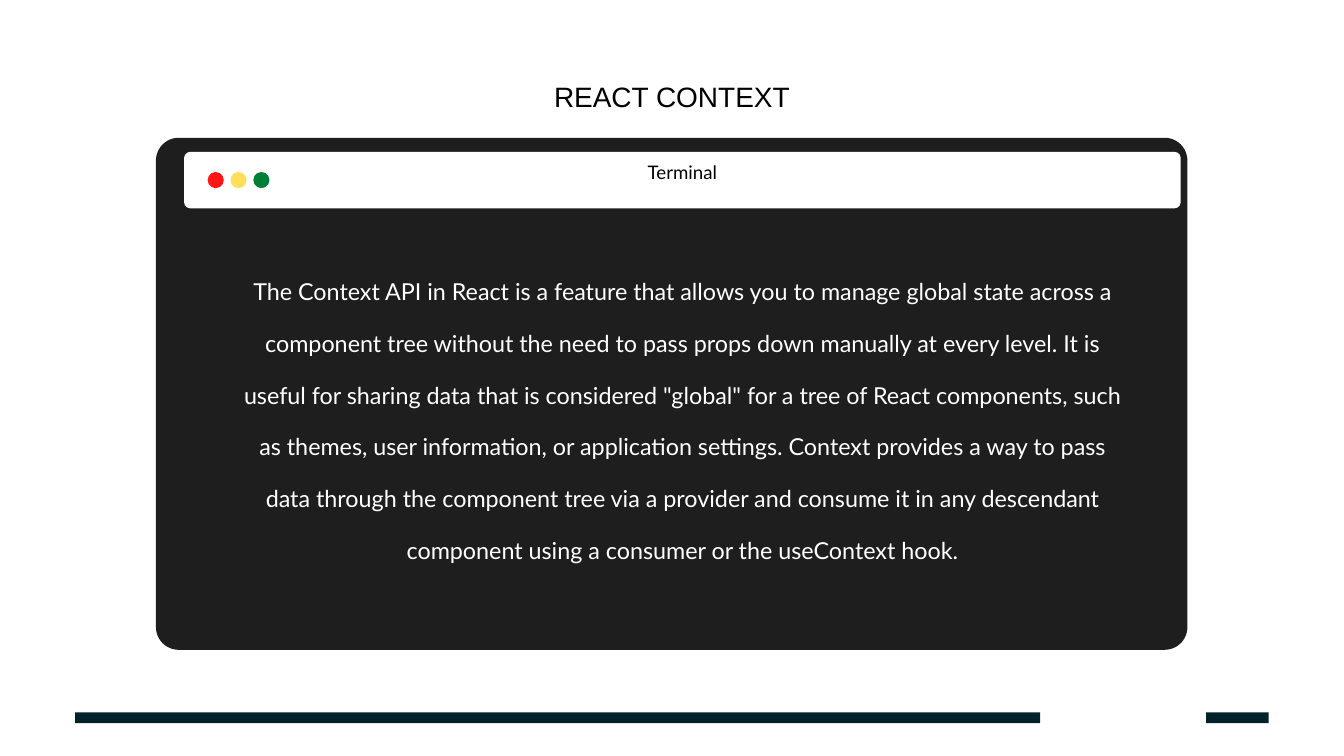
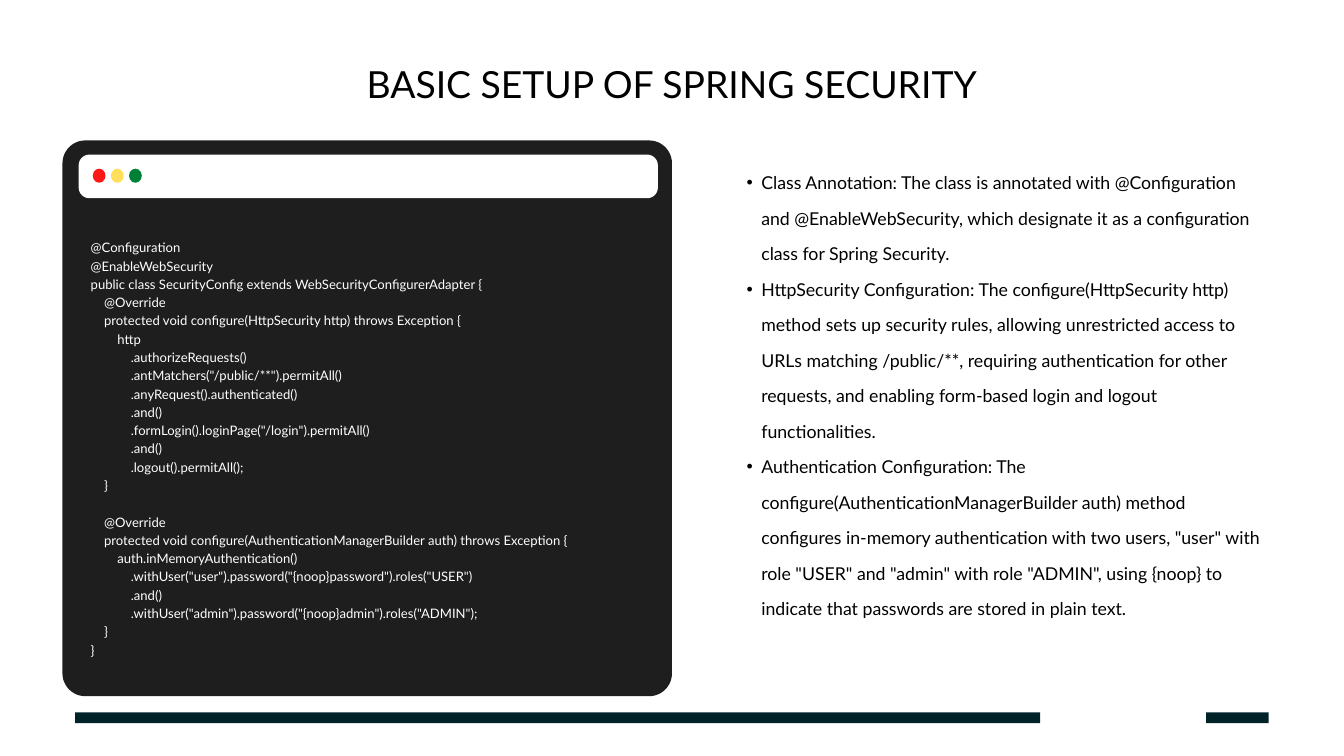
from lxml import etree
from pptx import Presentation
from pptx.dml.color import RGBColor
from pptx.enum.shapes import MSO_SHAPE
from pptx.enum.text import MSO_ANCHOR, PP_ALIGN
from pptx.oxml.ns import qn
from pptx.util import Inches, Pt

RECT, ROUNDED, OVAL = MSO_SHAPE.RECTANGLE, MSO_SHAPE.ROUNDED_RECTANGLE, MSO_SHAPE.OVAL
LEFT, CENTER = PP_ALIGN.LEFT, PP_ALIGN.CENTER
TOP, MIDDLE = MSO_ANCHOR.TOP, MSO_ANCHOR.MIDDLE

BLACK, WHITE, PANEL, BAND = "000000", "FFFFFF", "1E1E1E", "00232A"
DOTS = ["FF1616", "FFDE59", "008037"]


def add_block(s, kind, box, fill, radius=0):
    sp = s.shapes.add_shape(kind, *[Inches(v) for v in box])
    sp.shadow.inherit = False
    sp.fill.solid()
    sp.fill.fore_color.rgb = RGBColor.from_string(fill)
    sp.line.fill.background()
    if radius:
        sp.adjustments[0] = radius / min(box[2:])


def add_text(s, box, lines, size, color, spacing, align=LEFT, font="Lato",
             anchor=TOP, inset=0, bullets=False):
    tf = s.shapes.add_textbox(*[Inches(v) for v in box]).text_frame
    tf.word_wrap = True
    tf.vertical_anchor = anchor
    tf.margin_left = tf.margin_top = tf.margin_right = tf.margin_bottom = Inches(inset)
    p, gap = tf.paragraphs[0], 0
    for i, line in enumerate(lines):
        if not line:  # an empty line becomes space before the next one
            gap = spacing
            continue
        if i:
            p = tf.add_paragraph()
        p.alignment = align
        p.line_spacing = Pt(spacing)
        if gap:
            p.space_before, gap = Pt(gap), 0
        if bullets:
            p.level = 1
            pPr = p._p.get_or_add_pPr()
            pPr.set("marL", str(Inches(0.45)))
            pPr.set("indent", str(Inches(-0.22)))
            etree.SubElement(pPr, qn("a:buFont")).set("typeface", "Arial")
            etree.SubElement(pPr, qn("a:buChar")).set("char", "•")
        r = p.add_run()
        r.text = line
        r.font.name = font
        r.font.size = Pt(size)
        r.font.color.rgb = RGBColor.from_string(color)


# Content
CONTEXT = (
    "The Context API in React is a feature that allows you to manage global state "
    "across a component tree without the need to pass props down manually at every "
    "level. It is useful for sharing data that is considered \"global\" for a tree of "
    "React components, such as themes, user information, or application settings. "
    "Context provides a way to pass data through the component tree via a provider and "
    "consume it in any descendant component using a consumer or the useContext hook.")

CODE = '''@Configuration
@EnableWebSecurity
public class SecurityConfig extends WebSecurityConfigurerAdapter {
    @Override
    protected void configure(HttpSecurity http) throws Exception {
        http
            .authorizeRequests()
            .antMatchers("/public/**").permitAll()
            .anyRequest().authenticated()
            .and()
            .formLogin().loginPage("/login").permitAll()
            .and()
            .logout().permitAll();
    }

    @Override
    protected void configure(AuthenticationManagerBuilder auth) throws Exception {
        auth.inMemoryAuthentication()
            .withUser("user").password("{noop}password").roles("USER")
            .and()
            .withUser("admin").password("{noop}admin").roles("ADMIN");
    }
}'''

NOTES = [
    "Class Annotation: The class is annotated with @Configuration and "
    "@EnableWebSecurity, which designate it as a configuration class for Spring "
    "Security.",
    "HttpSecurity Configuration: The configure(HttpSecurity http) method sets up "
    "security rules, allowing unrestricted access to URLs matching /public/**, "
    "requiring authentication for other requests, and enabling form-based login and "
    "logout functionalities.",
    "Authentication Configuration: The configure(AuthenticationManagerBuilder auth) "
    "method configures in-memory authentication with two users, \"user\" with role "
    "\"USER\" and \"admin\" with role \"ADMIN\", using {noop} to indicate that passwords "
    "are stored in plain text.",
]

# Per slide: title, its box, size and font; window; title bar and radius; first dot, step
SLIDES = [
    ("REACT CONTEXT", (6.58, 0.85, 6.84, 0.77), 30, "Arial",
     (2.32, 2.05, 15.35, 7.62), (2.74, 2.26, 14.83, 0.84), 0.09,
     (3.09, 2.56, 0.24, 0.24), 0.34),
    ("BASIC SETUP OF SPRING SECURITY", (1.12, 0.46, 17.75, 0.99), 40, "Lato",
     (0.93, 2.09, 9.07, 8.27), (1.17, 2.3, 8.62, 0.65), 0.16,
     (1.38, 2.51, 0.19, 0.21), 0.27),
]

prs = Presentation()
prs.slide_width, prs.slide_height = Inches(20), Inches(11.25)

# Shared frame: title, footer bands, terminal window
for title, title_box, size, font, window, bar, radius, dot, step in SLIDES:
    s = prs.slides.add_slide(prs.slide_layouts[6])
    add_text(s, title_box, [title], size, BLACK, 2 * size, CENTER, font)
    for x, w in [(1.12, 14.36), (17.95, 0.93)]:
        add_block(s, RECT, (x, 10.6, w, 0.16), BAND)
    add_block(s, ROUNDED, window, PANEL, 0.34)
    add_block(s, ROUNDED, bar, WHITE, radius)
    x, y, w, h = dot
    for i, color in enumerate(DOTS):
        add_block(s, OVAL, (x + i * step, y, w, h), color)

context_slide, security_slide = prs.slides

# React context: window caption and explanation
add_text(context_slide, (2.74, 1.95, 14.83, 1.15), ["Terminal"], 20, BLACK, 28,
         CENTER, anchor=MIDDLE, inset=0.06)
add_text(context_slide, (3.57, 3.77, 13.17, 5.24), [CONTEXT], 25, WHITE, 55.5, CENTER)

# Spring Security: code and notes
add_text(security_slide, (1.35, 3.53, 8.26, 6.22), CODE.split("\n"), 14, WHITE, 19.6)
add_text(security_slide, (10.88, 2.35, 8, 7.76), NOTES, 19, BLACK, 38, bullets=True)

prs.save("out.pptx")
